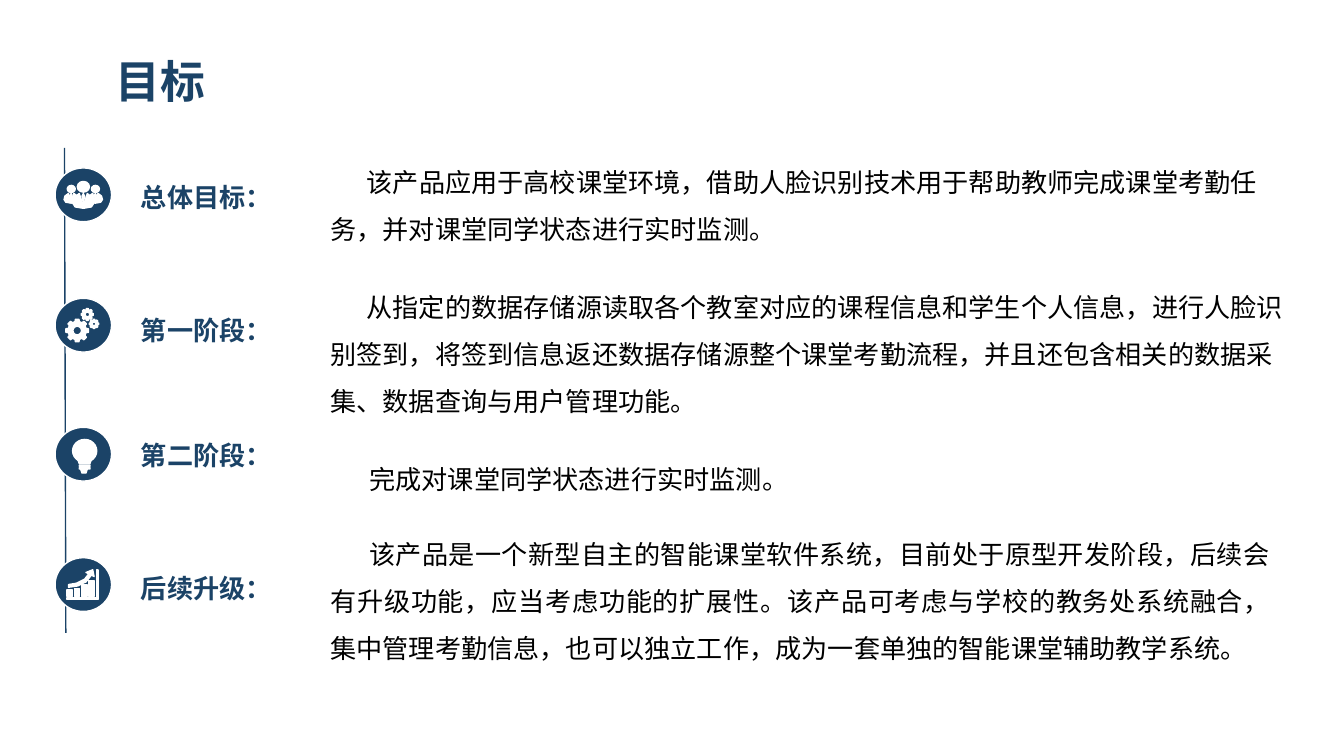
from math import cos, pi, sin

from lxml.etree import SubElement
from pptx import Presentation
from pptx.dml.color import RGBColor
from pptx.enum.shapes import MSO_CONNECTOR, MSO_SHAPE
from pptx.enum.text import MSO_AUTO_SIZE, PP_ALIGN
from pptx.oxml.ns import qn
from pptx.util import Pt

PX = 9144  # EMU per px, 100 px to the inch
FONT = "Noto Sans CJK SC"
COLORS = {"navy": "1B4367", "white": "FFFFFF", "black": "000000"}
AXIS_X, FIRST_Y, LAST_Y = 62, 145, 435

# label, label top, body text, body box, first-line indent, alignment
GOALS = [
    ("总体目标：", 130,
     "该产品应用于高校课堂环境，借助人脸识别技术用于帮助教师完成课堂考勤任务，"
     "并对课堂同学状态进行实时监测。",
     (236, 107, 719, 81), 27, PP_ALIGN.LEFT),
    ("第一阶段：", 229,
     "从指定的数据存储源读取各个教室对应的课程信息和学生个人信息，进行人脸识别签到，"
     "将签到信息返还数据存储源整个课堂考勤流程，并且还包含相关的数据采集、"
     "数据查询与用户管理功能。",
     (236, 200, 730, 116), 27, PP_ALIGN.LEFT),
    ("第二阶段：", 322,
     "完成对课堂同学状态进行实时监测。",
     (236, 328, 617, 45), 29, PP_ALIGN.JUSTIFY),
    ("后续升级：", 421,
     "该产品是一个新型自主的智能课堂软件系统，目前处于原型开发阶段，后续会有升级功能，"
     "应当考虑功能的扩展性。该产品可考虑与学校的教务处系统融合，集中管理考勤信息，"
     "也可以独立工作，成为一套单独的智能课堂辅助教学系统。",
     (236, 384, 719, 116), 29, PP_ALIGN.JUSTIFY),
]


def px(value):
    return round(value * PX)


def color(name):
    return RGBColor.from_string(COLORS[name])


def add_text(shapes, text, box, size, tint, bold=False, wrap=True, inset=(10, 5)):
    frame = shapes.add_textbox(*map(px, box)).text_frame
    frame.word_wrap = wrap
    frame.auto_size = MSO_AUTO_SIZE.SHAPE_TO_FIT_TEXT
    frame.margin_left = frame.margin_right = px(inset[0])
    frame.margin_top = frame.margin_bottom = px(inset[1])
    paragraph = frame.paragraphs[0]
    paragraph.text = text
    font = paragraph.runs[0].font
    font.size, font.bold, font.name = Pt(size), bold, FONT
    font.color.rgb = color(tint)
    SubElement(paragraph.runs[0]._r.get_or_add_rPr(), qn("a:ea"), typeface=FONT)
    return paragraph


def add_body(shapes, text, box, indent, align):
    paragraph = add_text(shapes, text, box, 14, "black")
    paragraph.alignment = align
    paragraph.line_spacing = 1.5
    properties = paragraph._p.get_or_add_pPr()
    properties.set("marL", "0")
    properties.set("indent", str(px(indent)))


def paint(shape, fill="white", line="white"):
    shape.shadow.inherit = False
    shape.fill.solid()
    shape.fill.fore_color.rgb = color(fill)
    shape.line.color.rgb = color(line)
    shape.line.width = Pt(0.75)


def add_preset(shapes, kind, x, y, width, height, fill="white", line="white"):
    paint(shapes.add_shape(kind, px(x), px(y), px(width), px(height)), fill, line)


def add_outline(shapes, points):
    corners = [(px(x), px(y)) for x, y in points]
    builder = shapes.build_freeform(*corners[0], scale=1)
    builder.add_line_segments(corners[1:], close=True)
    paint(builder.convert_to_shape())


def add_person(shapes, x, top, scale):
    def place(points):
        return [(x + dx * scale, top + dy * scale) for dx, dy in points]

    add_preset(shapes, MSO_SHAPE.OVAL, x - 4.5 * scale, top, 9 * scale, 8 * scale)
    # Shoulders with an open collar, then the tie
    add_outline(shapes, place([(8, 16), (7, 12), (3, 9), (0, 18), (-3, 9), (-7, 12),
                               (-8, 16), (-6, 19), (0, 20), (6, 19)]))
    add_outline(shapes, place([(0, 9), (1, 11), (0, 16), (-1, 11)]))


def add_gear(shapes, x, y, radius, teeth=8):
    points = []
    for tooth in range(teeth):
        for step, reach in ((-0.3, 0.8), (-0.2, 1), (0.2, 1), (0.3, 0.8)):
            angle = 2 * pi * (tooth + step) / teeth
            points.append((x + radius * reach * cos(angle), y + radius * reach * sin(angle)))
    add_outline(shapes, points)
    hole = radius * 0.38
    add_preset(shapes, MSO_SHAPE.OVAL, x - hole, y - hole, 2 * hole, 2 * hole, "navy")


def draw_team(shapes, x, y):
    add_person(shapes, x, y - 10, 1)
    for side in (-9, 9):
        add_person(shapes, x + side, y - 7, 0.66)


def draw_gears(shapes, x, y):
    for dx, dy, radius in ((-4.5, 4, 8.5), (3, -8, 4.5), (8, -1, 3.5)):
        add_gear(shapes, x + dx, y + dy, radius)


def draw_bulb(shapes, x, y):
    add_preset(shapes, MSO_SHAPE.OVAL, x - 8, y - 11, 18, 17)
    add_outline(shapes, [(x - 4, y + 4), (x + 6, y + 4), (x + 5, y + 7), (x - 3, y + 7)])
    for ring in (8, 10):
        add_preset(shapes, MSO_SHAPE.ROUNDED_RECTANGLE, x - 3, y + ring, 8, 1)
    add_outline(shapes, [(x - 2, y + 11), (x + 3, y + 11), (x + 2, y + 14), (x - 1, y + 14)])


def draw_growth(shapes, x, y):
    for column, (top, height) in enumerate(((4, 5), (3, 6), (0, 9), (-3, 12))):
        add_preset(shapes, MSO_SHAPE.RECTANGLE, x - 12 + 5.33 * column, y + top, 4, height)
    # Rising arrow, then the chart axes
    arrow = [(8, -6), (7, -11), (2, -9), (4, -8), (1, -4), (-5, -1), (-11, 0),
             (-11, 2), (-4, 1), (2, -2), (6, -7)]
    axes = [(10, -11), (11, -11), (11, 11), (-12, 11), (-12, 10), (10, 10)]
    for points in (arrow, axes):
        add_outline(shapes, [(x + dx, y + dy) for dx, dy in points])


def add_timeline(shapes):
    axis = shapes.add_connector(MSO_CONNECTOR.STRAIGHT, px(48), px(110), px(49), px(471))
    axis.line.color.rgb = color("navy")
    axis.line.width = Pt(0.75)
    SubElement(axis._element.spPr, qn("a:effectLst"))
    for stage, draw_icon in enumerate((draw_team, draw_gears, draw_bulb, draw_growth)):
        center = FIRST_Y + round(stage * (LAST_Y - FIRST_Y) / 3)
        add_preset(shapes, MSO_SHAPE.OVAL, AXIS_X - 21, center - 20, 42, 40, "navy")
        draw_icon(shapes, AXIS_X, center)


def main():
    deck = Presentation()
    deck.slide_width = px(1000)
    deck.slide_height = deck.slide_width * 9 // 16
    shapes = deck.slides.add_slide(deck.slide_layouts[6]).shapes

    # Heading
    add_text(shapes, "目标", (79, 36, 149, 48), 24, "navy", bold=True, inset=(7, 4))

    # Goals
    for label, label_top, body, box, indent, align in GOALS:
        add_text(shapes, label, (95, label_top, 117, 34), 14, "navy", bold=True, wrap=False)
        add_body(shapes, body, box, indent, align)

    # Timeline with one icon per goal
    add_timeline(shapes.add_group_shape().shapes)
    deck.save("out.pptx")


if __name__ == "__main__":
    main()
